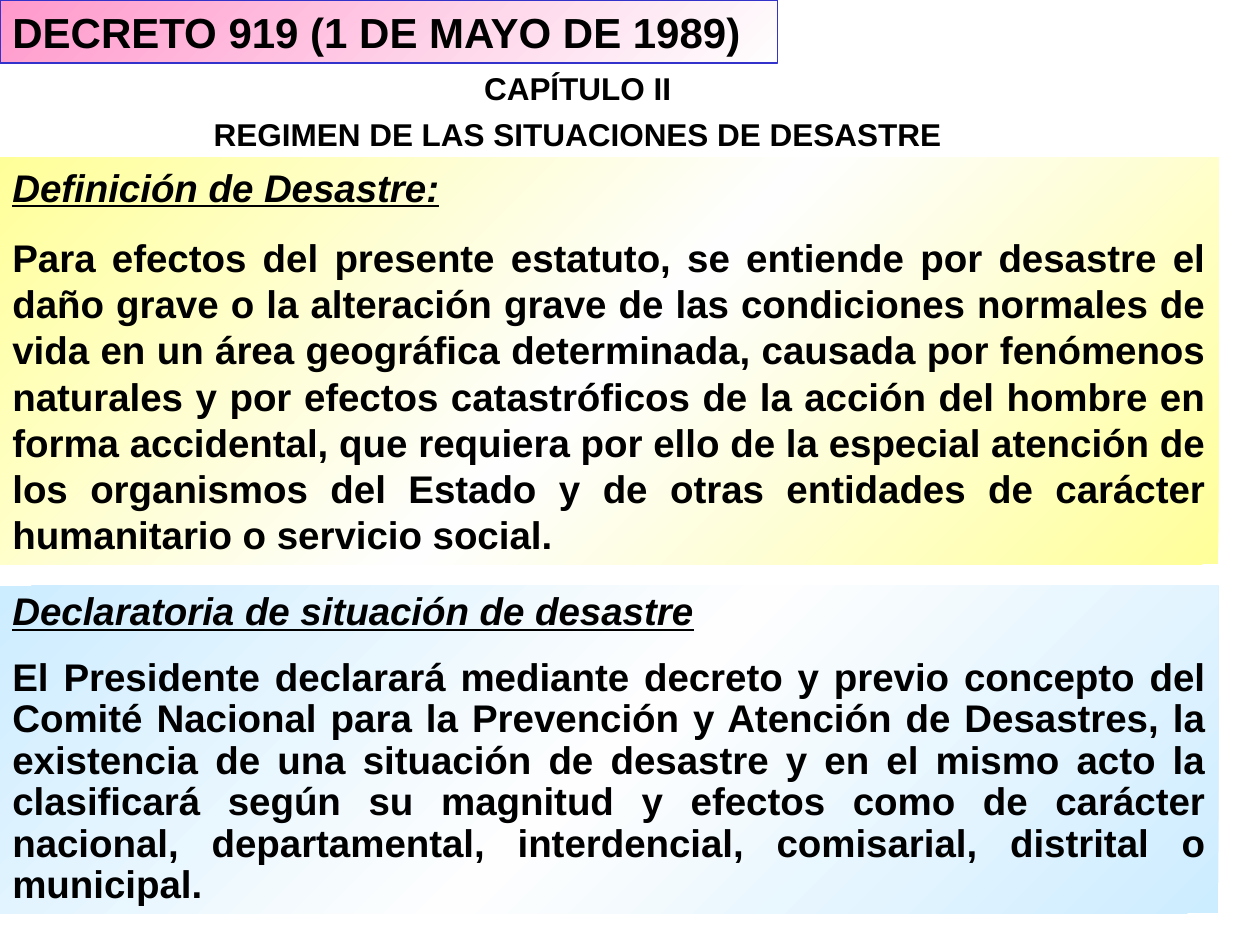
import copy
from dataclasses import dataclass

import pptx
import pptx.dml.color
import pptx.enum.shapes
import pptx.enum.text
import pptx.util

Inches = pptx.util.Inches
Pt = pptx.util.Pt
Align = pptx.enum.text.PP_ALIGN


@dataclass(frozen=True)
class Theme:
    font: str = "Arial"
    text: str = "000000"
    border: str = "3333CC"
    white: str = "FEFEFE"
    pink: str = "FF99CC"
    yellow: str = "FFFF99"
    blue: str = "CCECFF"
    title_size: int = 24
    chapter_size: int = 18
    body_size: int = 22


THEME = Theme()


def color(value):
    return pptx.dml.color.RGBColor.from_string(value)


def set_gradient(shape, colors):
    """Spread the colors evenly, from the bottom right to the top left."""
    shape.fill.gradient()
    shape.fill.gradient_angle = 135
    last_stop = shape.fill._fill._gradFill.gsLst[-1]
    for _ in colors[2:]:
        last_stop.addprevious(copy.deepcopy(last_stop))
    for index, (stop, value) in enumerate(zip(shape.fill.gradient_stops, colors)):
        stop.color.rgb = color(value)
        stop.position = index / (len(colors) - 1)


def prepare_frame(shape):
    frame = shape.text_frame
    frame.word_wrap = True
    frame.auto_size = pptx.enum.text.MSO_AUTO_SIZE.SHAPE_TO_FIT_TEXT
    frame.vertical_anchor = pptx.enum.text.MSO_ANCHOR.TOP
    return frame


def add_panel(slide, left, top, width, height, colors, border=None):
    shape = slide.shapes.add_shape(
        pptx.enum.shapes.MSO_SHAPE.RECTANGLE,
        Inches(left), Inches(top), Inches(width), Inches(height))
    shape.shadow.inherit = False
    set_gradient(shape, colors)
    if border:
        shape.line.color.rgb = color(border)
        shape.line.width = Pt(0.75)
    else:
        shape.line.fill.background()
    return prepare_frame(shape)


def add_text_box(slide, left, top, width, height):
    return prepare_frame(slide.shapes.add_textbox(
        Inches(left), Inches(top), Inches(width), Inches(height)))


def write(frame, text, *, size, align=Align.LEFT, spacing=1.0, before=0,
          italic=False, underline=False):
    """Fill the first paragraph if it is free, otherwise append one."""
    paragraph = frame.paragraphs[0]
    if paragraph.runs:
        paragraph = frame.add_paragraph()
    paragraph.alignment = align
    paragraph.line_spacing = spacing
    paragraph.space_before = Pt(before)
    run = paragraph.add_run()
    run.text = text
    run.font.name = THEME.font
    run.font.size = Pt(size)
    run.font.bold = True
    run.font.italic = italic
    run.font.underline = underline
    run.font.color.rgb = color(THEME.text)


def add_article(slide, top, height, tint, heading, body, spacing):
    frame = add_panel(slide, 0, top, 9.67, height, [tint, THEME.white, tint])
    style = dict(size=THEME.body_size, align=Align.JUSTIFY, spacing=spacing)
    write(frame, heading, italic=True, underline=True, **style)
    write(frame, body, before=13.8, **style)


def main():
    presentation = pptx.Presentation()
    presentation.slide_width = Inches(10)
    presentation.slide_height = Inches(7.5)
    slide = presentation.slides.add_slide(presentation.slide_layouts[6])

    # Title
    title = add_panel(slide, 0, 0, 6.17, 0.5, [THEME.white, THEME.pink], THEME.border)
    write(title, "DECRETO 919 (1 DE MAYO DE 1989)", size=THEME.title_size)

    # Chapter heading
    chapter = add_text_box(slide, 0, 0.58, 9.17, 0.68)
    style = dict(size=THEME.chapter_size, align=Align.CENTER, spacing=0.7)
    write(chapter, "CAPÍTULO II", **style)
    write(chapter, "REGIMEN DE LAS SITUACIONES DE DESASTRE", before=11.2, **style)

    # Articles
    add_article(
        slide, 1.25, 3.23, THEME.yellow, "Definición de Desastre:",
        "Para efectos del presente estatuto, se entiende por desastre el daño grave "
        "o la alteración grave de las condiciones normales de vida en un área "
        "geográfica determinada, causada por fenómenos naturales y por efectos "
        "catastróficos de la acción del hombre en forma accidental, que requiera por "
        "ello de la especial atención de los organismos del Estado y de otras "
        "entidades de carácter humanitario o servicio social.",
        spacing=1.0)
    add_article(
        slide, 4.65, 2.6, THEME.blue, "Declaratoria de situación de desastre",
        "El Presidente declarará mediante decreto y previo concepto del Comité "
        "Nacional para la Prevención y Atención de Desastres, la existencia de una "
        "situación de desastre y en el mismo acto la clasificará según su magnitud y "
        "efectos como de carácter nacional, departamental, interdencial, comisarial, "
        "distrital o municipal.",
        spacing=0.9)

    presentation.save("out.pptx")


if __name__ == "__main__":
    main()
